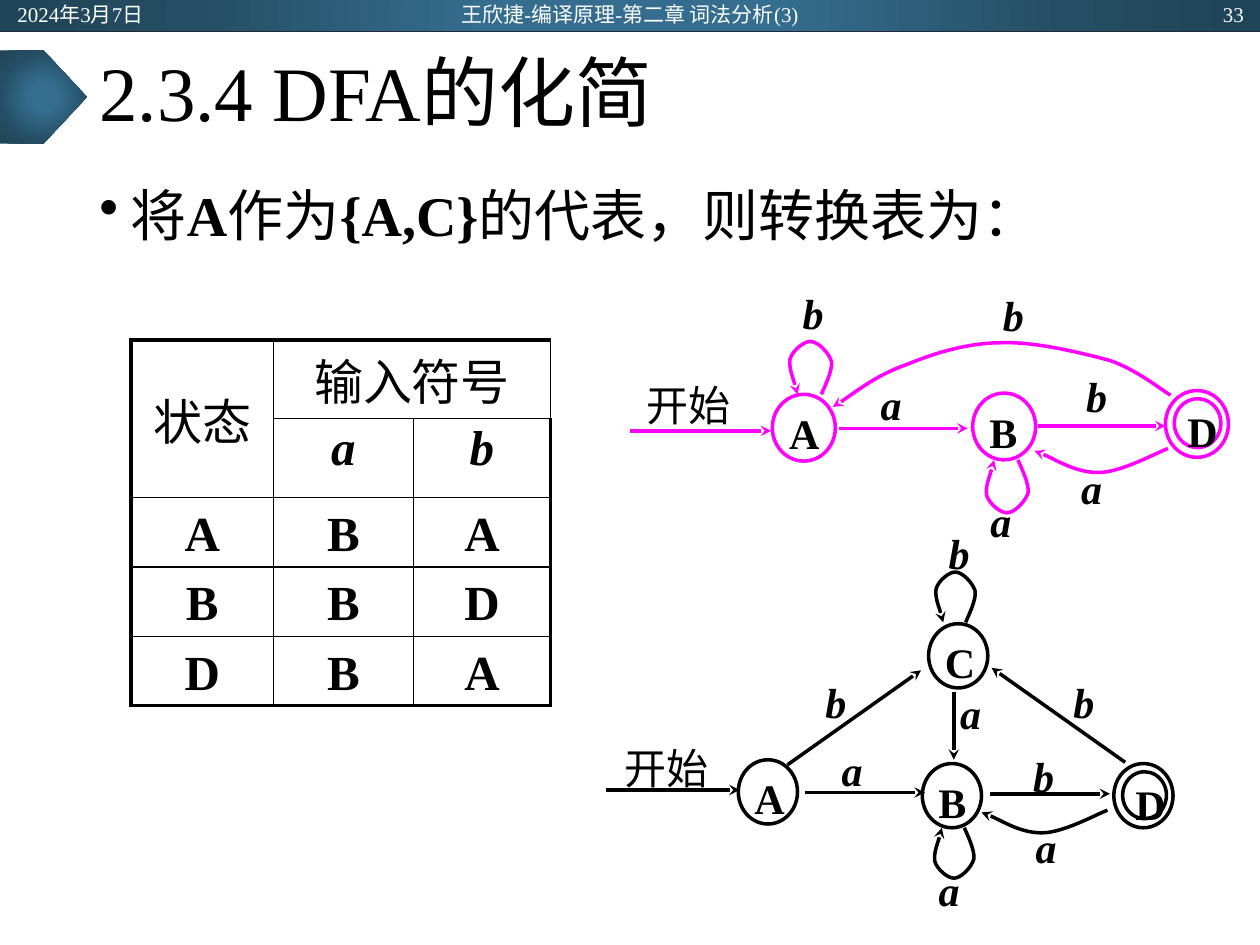
from dataclasses import dataclass

from lxml import etree
from pptx import Presentation
from pptx import util as u
from pptx.dml import color
from pptx.enum import shapes, text
from pptx.oxml import ns, parse_xml

COLS, ROWS = 100, 75  # grid units, ten to the inch


@dataclass(frozen=True)
class Theme:
    ink: str = "000000"
    pale: str = "FFFFFF"
    pink: str = "FF00FF"
    rule: str = "222A35"
    glow: tuple = ((0, "346D8E"), (23, "346D8E"), (69, "254E64"), (97, "204457"))
    serif: str = "Times New Roman"
    sans: str = "Karla"
    title: int = 44
    body: int = 32
    cell: int = 28
    node: int = 24
    head: int = 12
    stroke: float = 2
    thin: float = 1
    thick: float = 2.25


T = Theme()
ALIGN = text.PP_ALIGN
SNUG = (0.6, 0.3, 0.6, 0.3)
# Curves as shares of their own box: a start, then triples of Bezier points
LOOP = ((.74, 1), (.8, .88), (1, .55), (.97, .38), (.91, .21), (.66, 0), (.49, 0),
        (.34, 0), (.09, .17), (.03, .33), (0, .5), (.17, .86), (.2, 1))
DIP = ((1, 0), (.92, .16), (.65, 1), (.48, 1), (.31, 1), (.1, .26), (0, .1))
ARCH = ((1, .82), (.97, .73), (.9, .43), (.82, .29), (.74, .18), (.6, 0), (.5, .02),
        (.4, .02), (.3, .18), (.22, .35), (.13, .51), (.04, .88), (0, 1))


def grid(n):
    return u.Inches(n / 10)


def box(at):
    return [grid(n) for n in at]


def rgb(hue):
    return color.RGBColor.from_string(hue)


def tag(up, name, **atts):
    return etree.SubElement(up, ns.qn(name), **atts)


# ---- Text ----
def add_run(para, words, size, hue=T.ink, face=T.serif, bold=False, slant=False):
    run = para.add_run()
    run.text = words
    font = run.font
    font.size, font.name, font.bold, font.italic = u.Pt(size), face, bold, slant
    font.color.rgb = rgb(hue)


def set_frame(frame, pad, side):
    frame.word_wrap = True
    (frame.margin_left, frame.margin_top,
     frame.margin_right, frame.margin_bottom) = box(pad)
    frame.vertical_anchor = text.MSO_ANCHOR.TOP
    para = frame.paragraphs[0]
    para.alignment = side
    return para


def add_text(host, at, pad=(1, .5, 1, .5), side=ALIGN.LEFT, mid=False):
    frame = host.add_textbox(*box(at)).text_frame
    para = set_frame(frame, pad, side)
    if mid:
        frame.vertical_anchor = text.MSO_ANCHOR.MIDDLE
    return para


def add_label(host, words, x, y, wide=4):
    para = add_text(host, (x, y, wide, 4.2), SNUG, ALIGN.JUSTIFY)
    latin = words.isascii()
    add_run(para, words, T.node, bold=latin, slant=latin)


# ---- Shapes and lines ----
def add_glow(host, kind, at):
    shape = host.add_shape(kind, *box(at))
    shape.shadow.inherit = False
    shape.line.fill.background()
    shape.fill.solid()
    stops = "".join(f'<a:gs pos="{pos * 1000}"><a:srgbClr val="{hue}"/></a:gs>'
                    for pos, hue in T.glow)
    grad = parse_xml(
        f'<a:gradFill {ns.nsdecls("a")}><a:gsLst>{stops}</a:gsLst><a:path path="circle">'
        '<a:fillToRect l="50000" t="50000" r="50000" b="50000"/></a:path></a:gradFill>')
    old = shape.element.spPr.find(ns.qn("a:solidFill"))
    old.getparent().replace(old, grad)


def ink_line(shape, hue, width=T.stroke, arrow=False):
    shape.line.color.rgb = rgb(hue)
    shape.line.width = u.Pt(width)
    if arrow:
        tag(shape.line._get_or_add_ln(), "a:tailEnd", type="stealth")


def add_line(host, ends, hue, width=T.stroke, arrow=True):
    line = host.add_connector(shapes.MSO_CONNECTOR.STRAIGHT, *box(ends))
    ink_line(line, hue, width, arrow)
    tag(line.element.spPr, "a:effectLst")


def add_curve(host, dots, at, hue, flip=False):
    x, y, w, h = at
    spots = [(grid(x + w * p), grid(y + h * (1 - q if flip else q))) for p, q in dots]
    pen = host.build_freeform(*spots[0], scale=1.0)
    pen.add_line_segments(spots[1:], close=False)
    shape = pen.convert_to_shape()
    shape.shadow.inherit = False
    shape.fill.background()
    ink_line(shape, hue, arrow=True)
    # Join each three points into one Bezier piece
    track = next(shape.element.iter(ns.qn("a:path")))
    steps = track.findall(ns.qn("a:lnTo"))
    for i in range(0, len(steps), 3):
        bend = tag(track, "a:cubicBezTo")
        for step in steps[i:i + 3]:
            bend.append(step[0])
            track.remove(step)


def add_node(host, at, hue, name="", pad=(.6, .3, .2, .5)):
    ring = host.add_shape(shapes.MSO_SHAPE.OVAL, *box(at))
    ring.shadow.inherit = False
    ring.fill.background()
    ink_line(ring, hue)
    if name:
        add_run(set_frame(ring.text_frame, pad, ALIGN.LEFT), name, T.node, bold=True)


def add_graph(slide, hue, size, nodes, goal, lines, curves, labels):
    host = slide.shapes.add_group_shape().shapes
    w, h = size
    for name, x, y in nodes:
        add_node(host, (x, y, w, h), hue, name)
    # The final state has a double ring
    x, y = goal
    add_node(host, (x, y, w, h), hue)
    add_node(host, (x + .7, y + .65, w * .74, h * .73), hue, "D", (.5, 0, .1, 0))
    for ends in lines:
        add_line(host, ends, hue)
    for dots, at, flip in curves:
        add_curve(host, dots, at, hue, flip)
    for label in labels:
        add_label(host, *label)


# ---- Table ----
def edge_cell(cell, row, col, last):
    cell.fill.background()
    props = cell._tc.get_or_add_tcPr()
    outer = (col == 0, col == last[1], row == 0, row == last[0])
    for i, (side, rim) in enumerate(zip("LRTB", outer)):
        line = tag(props, f"a:ln{side}", w=str(u.Pt(T.thick if rim else T.thin)))
        tag(tag(line, "a:solidFill"), "a:srgbClr", val=T.ink)
        props.insert(i, line)


def add_grid(slide, at, wides, talls, rows):
    frame = slide.shapes.add_table(len(talls), len(wides), *box(at))
    table = frame.table
    table.first_row = table.horz_banding = False
    for col, wide in zip(table.columns, wides):
        col.width = grid(wide)
    for row, tall in zip(table.rows, talls):
        row.height = grid(tall)
    for r, row in enumerate(rows):
        for c, words in enumerate(row):
            cell = table.cell(r, c)
            edge_cell(cell, r, c, (len(talls) - 1, len(wides) - 1))
            pad = SNUG if r < 2 else (0, .8, 0, 0)
            (cell.margin_left, cell.margin_top,
             cell.margin_right, cell.margin_bottom) = box(pad)
            para = cell.text_frame.paragraphs[0]
            para.alignment = ALIGN.CENTER
            if words:
                latin = words.isascii()
                add_run(para, words, T.cell, face=T.serif if latin else T.sans,
                        bold=latin, slant=r == 1)
    table.cell(0, 0).merge(table.cell(1, 0))
    table.cell(0, 1).merge(table.cell(0, 2))
    table.cell(0, 0).vertical_anchor = text.MSO_ANCHOR.MIDDLE


def main():
    deck = Presentation()
    deck.slide_width, deck.slide_height = grid(COLS), grid(ROWS)
    slide = deck.slides.add_slide(deck.slide_layouts[6])
    host = slide.shapes

    # Header band and title marker
    add_glow(host, shapes.MSO_SHAPE.RECTANGLE, (0, 0, COLS, 2.5))
    add_line(host, (0, 2.5, COLS, 2.5), T.rule, .5, False)
    add_glow(host, shapes.MSO_SHAPE.PENTAGON, (0, 4, 6.9, 7.4))
    for words, x, wide, side in (
            ("2024年3月7日", .4, 22.5, ALIGN.LEFT),
            ("王欣捷-编译原理-第二章 词法分析(3)", 33.1, 33.8, ALIGN.CENTER),
            ("33", 77.2, 22.5, ALIGN.RIGHT)):
        add_run(add_text(host, (x, .1, wide, 2), side=side, mid=True),
                words, T.head, T.pale)

    # Title and bullet
    para = add_text(host, (6.9, 2.5, 86.2, 10.4), mid=True)
    para.line_spacing = .9
    add_run(para, "2.3.4 DFA的化简", T.title)
    para = add_text(host, (6.9, 13.8, 86.2, 53.8))
    props = para._p.get_or_add_pPr()
    props.set("marL", str(grid(2.5)))
    props.set("indent", str(-grid(2.5)))
    tag(props, "a:buChar", char="•")
    for words, bold in (("将", False), ("A", True), ("作为", False),
                        ("{A,C}", True), ("的代表，则转换表为：", False)):
        add_run(para, words, T.body, bold=bold)

    # Full automaton
    add_graph(
        slide, T.ink, (4.7, 5.1),
        (("A", 58.6, 60.3), ("B", 73.2, 60.6), ("C", 73.7, 49.5)), (88.4, 60.6),
        ((48.1, 62.7, 58.7, 62.7), (63.9, 62.9, 73.4, 62.9), (78.6, 63, 88.1, 63),
         (62.5, 60.7, 73.1, 53.2), (75.7, 54.9, 75.7, 60.3), (89.3, 60.5, 78.7, 53)),
        ((LOOP, (74.2, 45.4, 3.3, 4), False), (LOOP, (74.1, 65.7, 3.3, 4), True),
         (DIP, (77.9, 64.3, 10, 1.8), False)),
        (("开始", 49, 58.6, 8.2), ("a", 66.2, 58.8), ("a", 73.9, 68.3),
         ("b", 81.4, 59.3), ("b", 64.9, 53.4), ("a", 81.6, 64.9),
         ("b", 74.7, 41.6), ("b", 84.6, 53.4), ("a", 75.6, 54.3)))

    # Reduced automaton
    add_graph(
        slide, T.pink, (5, 5.3),
        (("A", 61.3, 31.3), ("B", 77.2, 31.2)), (92.5, 31),
        ((50, 34.2, 61.2, 34.2), (66.6, 34, 76.8, 34), (82.4, 33.8, 92.5, 33.8)),
        ((LOOP, (62.6, 27.1, 3.5, 4.2), False), (LOOP, (78.2, 36.5, 3.5, 4.2), True),
         (DIP, (82.1, 35.6, 10.6, 1.9), False), (ARCH, (66.1, 27.1, 26.8, 5.2), False)),
        (("开始", 50.7, 29.8, 8.2), ("a", 69.3, 29.7), ("a", 78, 39),
         ("b", 85.6, 29.1), ("b", 63.1, 22.5), ("a", 85.2, 36.4), ("b", 79, 22.7)))

    # Transition table
    add_grid(slide, (10.4, 27, 33.3, 29), (11.3, 11.1, 10.9),
             (6.2, 6.3, 5.5, 5.5, 5.5),
             (("状态", "输入符号", ""), ("", "a", "b"), "ABA", "BBD", "DBA"))

    deck.save("out.pptx")


if __name__ == "__main__":
    main()
